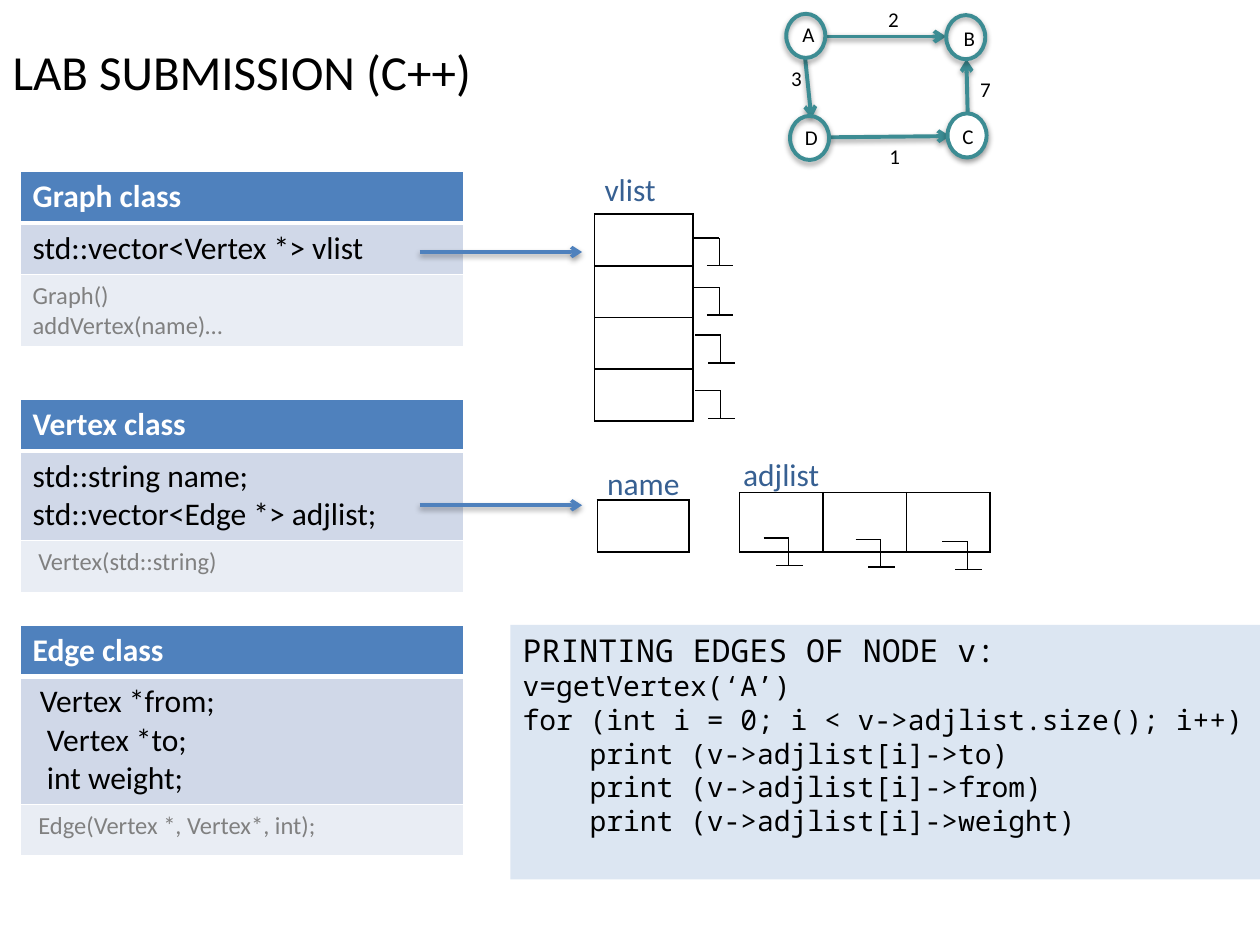
from lxml import etree
from pptx import Presentation
from pptx import util as u
from pptx.dml.color import RGBColor
from pptx.enum import shapes, text
from pptx.oxml import parse_xml
from pptx.oxml.ns import nsdecls, qn

BLACK = RGBColor(0x00, 0x00, 0x00)
WHITE = RGBColor(0xFF, 0xFF, 0xFF)
GRAY = RGBColor(0x80, 0x80, 0x80)
BLUE = RGBColor(0x4F, 0x81, 0xBD)
DARK_BLUE = RGBColor(0x37, 0x60, 0x92)
CODE_BLUE = RGBColor(0xDC, 0xE6, 0xF2)
FIELD_FILL = RGBColor(0xD0, 0xD8, 0xE8)
METHOD_FILL = RGBColor(0xE9, 0xED, 0xF4)
TEAL = RGBColor(0x3C, 0x8C, 0x93)

SHADOW = (f'<a:outerShdw {nsdecls("a")} blurRad="40000" dist="20000" dir="5400000" '
          'rotWithShape="0"><a:srgbClr val="000000"><a:alpha val="38000"/>'
          '</a:srgbClr></a:outerShdw>')


class SlideBuilder:
    font = "Calibri"
    code_font = "Noto Sans Mono"

    def __init__(self, slide):
        self.slide = slide
        self.shapes = slide.shapes

    def set_text(self, frame, lines, size, color, font=None, bold=False):
        for index, line in enumerate(lines):
            paragraph = frame.paragraphs[0] if index == 0 else frame.add_paragraph()
            paragraph.text = line
            paragraph.alignment = text.PP_ALIGN.LEFT
            paragraph.font.name = font or self.font
            paragraph.font.size = u.Pt(size)
            paragraph.font.color.rgb = color
            paragraph.font.bold = bold

    def title(self, words, left, top, width, height):
        title = self.shapes.title
        title.left, title.top = u.Inches(left), u.Inches(top)
        title.width, title.height = u.Inches(width), u.Inches(height)
        title.text_frame.vertical_anchor = text.MSO_ANCHOR.MIDDLE
        self.set_text(title.text_frame, [words], 28, BLACK)

    def label(self, words, left, top, width, height, size, color, wrap=True):
        box = self.shapes.add_textbox(u.Inches(left), u.Inches(top),
                                      u.Inches(width), u.Inches(height))
        box.text_frame.word_wrap = wrap
        box.text_frame.auto_size = text.MSO_AUTO_SIZE.SHAPE_TO_FIT_TEXT
        self.set_text(box.text_frame, [words], size, color)

    def line(self, start, end, color=BLACK, width=0.75, arrow=False, parent=None):
        connector = (parent or self.slide).shapes.add_connector(
            shapes.MSO_CONNECTOR.STRAIGHT, *(u.Inches(v) for v in (*start, *end)))
        connector.line.color.rgb = color
        connector.line.width = u.Pt(width)
        properties = connector._element.spPr
        effects = etree.SubElement(properties, qn("a:effectLst"))
        if arrow:
            etree.SubElement(properties.find(qn("a:ln")), qn("a:tailEnd"), type="arrow")
            effects.append(parse_xml(SHADOW))

    def node(self, name, left, top, label_left, label_top, filled=False):
        circle = self.shapes.add_shape(shapes.MSO_SHAPE.OVAL, u.Inches(left), u.Inches(top),
                                       u.Inches(0.31), u.Inches(0.35))
        if filled:
            circle.fill.solid()
            circle.fill.fore_color.rgb = WHITE
        else:
            circle.fill.background()
        circle.line.color.rgb = TEAL
        circle.line.width = u.Pt(2.25)
        circle.shadow.inherit = False
        circle._element.spPr.find(qn("a:effectLst")).append(parse_xml(SHADOW))
        self.label(name, label_left, label_top, 0.3, 0.3, 12, BLACK, wrap=False)

    def table(self, rows, columns, left, top, width, row_height):
        table = self.shapes.add_table(rows, columns, u.Inches(left), u.Inches(top),
                                      u.Inches(width), u.Inches(row_height * rows)).table
        table.first_row = table.horz_banding = False
        return table

    def borders(self, cell, color, top=1, bottom=1):
        properties = cell._tc.get_or_add_tcPr()
        sides = {"L": 1, "R": 1, "T": top, "B": bottom}
        for index, (side, width) in enumerate(sides.items()):
            properties.insert(index, parse_xml(
                f'<a:ln{side} {nsdecls("a")} w="{u.Pt(width)}"><a:solidFill>'
                f'<a:srgbClr val="{color}"/></a:solidFill></a:ln{side}>'))

    def class_table(self, top, name, fields, methods):
        table = self.table(3, 1, 0.16, top, 3.52, 0.41)
        styles = [([name], 18, WHITE, BLUE, 1, 3),
                  (fields, 18, BLACK, FIELD_FILL, 3, 1),
                  (methods, 14, GRAY, METHOD_FILL, 1, 1)]
        for row, (lines, size, color, fill, above, below) in enumerate(styles):
            cell = table.cell(row, 0)
            cell.fill.solid()
            cell.fill.fore_color.rgb = fill
            self.borders(cell, WHITE, above, below)
            self.set_text(cell.text_frame, lines, size, color, bold=row == 0)

    def empty_cells(self, rows, columns, left, top, width, row_height):
        for cell in self.table(rows, columns, left, top, width, row_height).iter_cells():
            cell.fill.background()
            self.borders(cell, BLACK)

    def null_pointer(self, left, top):
        group = self.shapes.add_group_shape()
        stem, bottom = left + 0.2, top + 0.22
        self.line((left, top), (stem, top), parent=group)
        self.line((left + 0.1, bottom), (left + 0.31, bottom), parent=group)
        self.line((stem, top), (stem, bottom), parent=group)

    def code_box(self, heading, lines, left, top, width, height):
        box = self.shapes.add_shape(shapes.MSO_SHAPE.RECTANGLE, u.Inches(left), u.Inches(top),
                                    u.Inches(width), u.Inches(height))
        box.fill.solid()
        box.fill.fore_color.rgb = CODE_BLUE
        box.line.fill.background()
        box.shadow.inherit = False
        frame = box.text_frame
        frame.word_wrap = True
        frame.vertical_anchor = text.MSO_ANCHOR.TOP
        self.set_text(frame, [heading, *lines], 16, BLACK, self.code_font)
        frame.paragraphs[0].font.size = u.Pt(18)


def main():
    presentation = Presentation()
    presentation.slide_width, presentation.slide_height = u.Inches(10), u.Inches(7.5)
    builder = SlideBuilder(presentation.slides.add_slide(presentation.slide_layouts[5]))
    builder.title("LAB SUBMISSION (C++)", 0, 0.28, 9.52, 0.57)

    # Class tables
    builder.class_table(1.36, "Graph class", ["std::vector<Vertex *> vlist"],
                        ["Graph()", "addVertex(name)…"])
    builder.class_table(3.17, "Vertex class",
                        ["std::string name;", "std::vector<Edge *> adjlist;"],
                        [" Vertex(std::string)"])
    builder.class_table(4.96, "Edge class",
                        [" Vertex *from;", "  Vertex *to;", "  int weight;"],
                        [" Edge(Vertex *, Vertex*, int);"])

    # Example graph: edges, nodes, weights
    for start, end in [((6.58, 1.09), (7.54, 1.08)), ((7.68, 0.9), (7.67, 0.47)),
                       ((6.39, 0.46), (6.44, 0.94)), ((6.54, 0.29), (7.51, 0.29))]:
        builder.line(start, end, TEAL, 2.25, arrow=True)
    builder.node("D", 6.27, 0.92, 6.29, 0.94)
    builder.node("B", 7.51, 0.12, 7.55, 0.15)
    builder.node("C", 7.52, 0.9, 7.54, 0.93, filled=True)
    builder.node("A", 6.24, 0.11, 6.27, 0.12)
    for weight, left, top in [("1", 6.96, 1.09), ("2", 6.95, 0),
                              ("3", 6.18, 0.47), ("7", 7.68, 0.56)]:
        builder.label(weight, left, top, 0.29, 0.3, 12, BLACK, wrap=False)

    # Code for printing edges
    builder.code_box("PRINTING EDGES OF NODE v:",
                     ["v=getVertex(‘A’)",
                      "for (int i = 0; i < v->adjlist.size(); i++)",
                      "    print (v->adjlist[i]->to)",
                      "    print (v->adjlist[i]->from)",
                      "    print (v->adjlist[i]->weight)"],
                     4.05, 4.96, 5.95, 2.02)

    # Memory layout: arrows, cells, labels
    for top in (2, 4.01):
        builder.line((3.33, top), (4.62, top), BLUE, 2, arrow=True)
    builder.empty_cells(4, 1, 4.72, 1.7, 0.78, 0.41)
    builder.empty_cells(1, 1, 4.74, 3.97, 0.73, 0.41)
    builder.empty_cells(1, 3, 5.87, 3.91, 1.99, 0.47)
    for name, left, top in [("vlist", 4.7, 1.3), ("name", 4.72, 3.63), ("adjlist", 5.8, 3.56)]:
        builder.label(name, left, top, 0.84, 0.4, 18, DARK_BLUE)

    # Null pointers of vlist, then of adjlist
    for left, top in [(5.51, 1.89), (5.51, 2.28), (5.52, 2.66), (5.52, 3.1),
                      (6.06, 4.27), (6.79, 4.28), (7.48, 4.3)]:
        builder.null_pointer(left, top)

    presentation.save("out.pptx")


if __name__ == "__main__":
    main()
